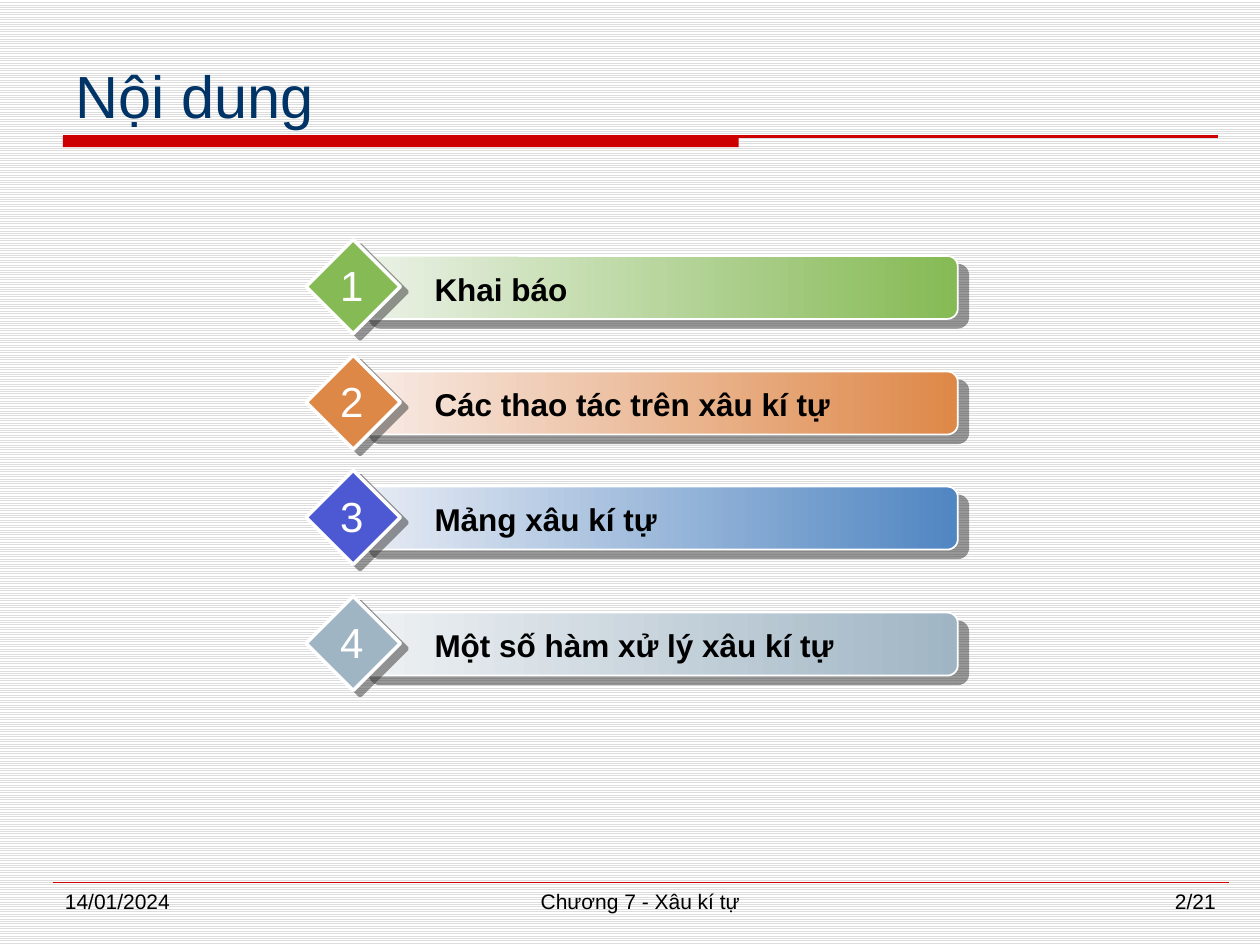
import lxml.etree
import pptx
import pptx.dml.color
import pptx.enum.dml
import pptx.enum.shapes
import pptx.enum.text
import pptx.oxml.ns
import pptx.util

Cm, Pt = pptx.util.Cm, pptx.util.Pt
SHAPE = pptx.enum.shapes.MSO_SHAPE
ALIGN = pptx.enum.text.PP_ALIGN
ANCHOR = pptx.enum.text.MSO_ANCHOR
AUTO_SIZE = pptx.enum.text.MSO_AUTO_SIZE
qn = pptx.oxml.ns.qn
rgb = pptx.dml.color.RGBColor.from_string


def write(box, text, size, color, bold=False, align=ALIGN.LEFT, wrap=True):
    frame = box.text_frame
    frame.word_wrap = wrap
    paragraph = frame.paragraphs[0]
    paragraph.alignment = align
    run = paragraph.add_run()
    run.text = text
    run.font.name = "Arial"
    run.font.size = Pt(size)
    run.font.bold = bold
    run.font.color.rgb = rgb(color)


def outline_with_shadow(shape, width, distance, angle):
    """Give a shape a white outline and a hard, half-transparent shadow."""
    shape.line.color.rgb = rgb("FFFFFF")
    shape.line.width = Pt(width)
    shape.shadow.inherit = False
    effects = shape._element.spPr.find(qn("a:effectLst"))
    shadow = lxml.etree.SubElement(effects, qn("a:outerShdw"), blurRad="0",
                                   dist=str(Pt(distance)), dir=str(angle * 60000),
                                   algn="ctr", rotWithShape="0")
    tint = lxml.etree.SubElement(shadow, qn("a:srgbClr"), val="333333")
    lxml.etree.SubElement(tint, qn("a:alpha"), val="50000")


deck = pptx.Presentation()
deck.slide_width, deck.slide_height = Cm(25.4), Cm(19.05)
slide = deck.slides.add_slide(deck.slide_layouts[5])

background = slide.background.fill
background.patterned()
background.pattern = pptx.enum.dml.MSO_PATTERN.LIGHT_HORIZONTAL
background.fore_color.rgb = rgb("DDDDDD")
background.back_color.rgb = rgb("FFFFFF")

# Red rules under the title and above the footer
title_bar = slide.shapes.add_shape(SHAPE.RECTANGLE, Cm(1.27), Cm(2.75), Cm(13.62), Cm(0.22))
title_bar.shadow.inherit = False
title_bar.fill.solid()
title_bar.fill.fore_color.rgb = rgb("CC0000")
title_bar.line.fill.background()

for left, right, y, width in [(1.27, 24.55, 2.75, 1.5), (1.06, 24.77, 17.78, 0.25)]:
    rule = slide.shapes.add_connector(pptx.enum.shapes.MSO_CONNECTOR.STRAIGHT,
                                      Cm(left), Cm(y), Cm(right), Cm(y))
    rule.line.color.rgb = rgb("CC0000")
    rule.line.width = Pt(width)
    lxml.etree.SubElement(rule._element.spPr, qn("a:effectLst"))

title = slide.shapes.title
title.left, title.top, title.width, title.height = Cm(1.27), Cm(0.85), Cm(23.28), Cm(1.9)
title.text_frame.vertical_anchor = ANCHOR.BOTTOM
title.text_frame.auto_size = AUTO_SIZE.NONE
write(title, "Nội dung", 34, "003366")

# Agenda: top, text, gradient start, gradient end, diamond colour
agenda = [
    (4.83, "Khai báo", "ECF2E8", "85BA54", "85BA54"),
    (7.16, "Các thao tác trên xâu kí tự", "F8ECE7", "DE8848", "DE8848"),
    (9.48, "Mảng xâu kí tự", "E8ECF4", "5086C2", "4C59D2"),
    (12.02, "Một số hàm xử lý xâu kí tự", "EFF2F4", "A0B5C4", "A0B5C4"),
]
for number, (top, topic, pale, strong, diamond_color) in enumerate(agenda, start=1):
    entry = slide.shapes.add_group_shape().shapes

    bar = entry.add_shape(SHAPE.ROUNDED_RECTANGLE, Cm(7.24), Cm(top + 0.33), Cm(12.07), Cm(1.27))
    bar.fill.gradient()
    bar.fill.gradient_angle = 0
    for stop, color in zip(bar.fill.gradient_stops, (pale, strong)):
        stop.color.rgb = rgb(color)
    outline_with_shadow(bar, 1, 7.8, 40)

    diamond = entry.add_shape(SHAPE.DIAMOND, Cm(6.17), Cm(top), Cm(1.9), Cm(1.9))
    diamond.fill.solid()
    diamond.fill.fore_color.rgb = rgb(diamond_color)
    outline_with_shadow(diamond, 2, 5, 37)

    label = entry.add_textbox(Cm(8.51), Cm(top + 0.48), Cm(10.8), Cm(1.02))
    label.text_frame.auto_size = AUTO_SIZE.SHAPE_TO_FIT_TEXT
    write(label, topic, 18, "000000", bold=True)

    numeral = entry.add_textbox(Cm(6.6), Cm(top + 0.28), Cm(0.99), Cm(1.27))
    numeral.text_frame.auto_size = AUTO_SIZE.SHAPE_TO_FIT_TEXT
    write(numeral, str(number), 24, "FFFFFF", align=ALIGN.CENTER, wrap=False)

footer = [
    (1.06, 5.5, "14/01/2024", ALIGN.LEFT),
    (7.41, 11.0, "Chương 7 - Xâu kí tự", ALIGN.CENTER),
    (19.26, 5.5, "2/21", ALIGN.RIGHT),
]
for left, width, text, align in footer:
    box = slide.shapes.add_textbox(Cm(left), Cm(17.78), Cm(width), Cm(0.89))
    write(box, text, 12, "000000", align=align)

deck.save("out.pptx")
